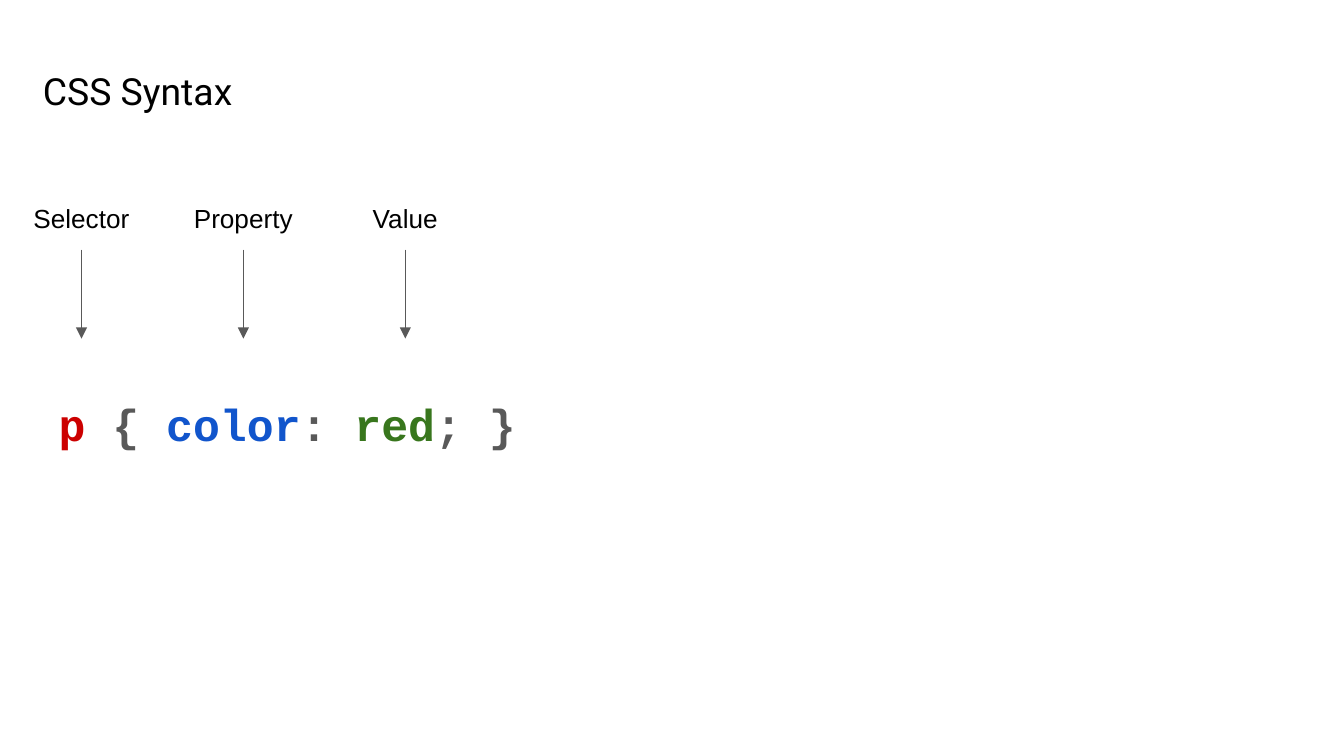
"""Build a slide that labels the parts of a CSS rule."""
from dataclasses import dataclass

from lxml import etree
from pptx import Presentation
from pptx.dml.color import RGBColor
from pptx.enum.shapes import MSO_CONNECTOR
from pptx.enum.text import MSO_ANCHOR, MSO_AUTO_SIZE, PP_ALIGN
from pptx.oxml.ns import qn
from pptx.util import Cm, Pt

STRAIGHT = MSO_CONNECTOR.STRAIGHT
TOP, MIDDLE = MSO_ANCHOR.TOP, MSO_ANCHOR.MIDDLE
LEFT, CENTER = PP_ALIGN.LEFT, PP_ALIGN.CENTER
GROW = MSO_AUTO_SIZE.SHAPE_TO_FIT_TEXT


@dataclass(frozen=True)
class Theme:
    black: str = "000000"
    gray: str = "595959"
    selector: str = "CC0000"
    property: str = "1155CC"
    value: str = "38761D"
    title_size: int = 20
    label_size: int = 14
    code_size: int = 24
    title_font: str = "Roboto"
    label_font: str = "Arial"
    code_font: str = "Courier New"


theme = Theme()


def add_text(shapes, left, top, width, height, spans, font, size, align=LEFT, anchor=TOP):
    box = shapes.add_textbox(Cm(left), Cm(top), Cm(width), Cm(height))
    frame = box.text_frame
    frame.word_wrap = True
    frame.vertical_anchor = anchor
    frame.margin_left = frame.margin_right = Cm(0.25)
    frame.margin_top = frame.margin_bottom = Cm(0.25)
    para = frame.paragraphs[0]
    para.alignment = align
    for text, color in spans:
        span = para.add_run()
        span.text = text
        span.font.name = font
        span.font.size = Pt(size)
        span.font.color.rgb = RGBColor.from_string(color)
    return box


def add_arrow(shapes, x, top, bottom):
    arrow = shapes.add_connector(STRAIGHT, Cm(x), Cm(top), Cm(x), Cm(bottom))
    arrow.line.color.rgb = RGBColor.from_string(theme.gray)
    arrow.line.width = Pt(0.75)
    etree.SubElement(arrow.line._get_or_add_ln(), qn("a:tailEnd"), type="triangle")
    etree.SubElement(arrow._element.spPr, qn("a:effectLst"))


deck = Presentation()
deck.slide_width, deck.slide_height = Cm(25.4), Cm(14.29)
page = deck.slides.add_slide(deck.slide_layouts[6])

code = [
    ("p", theme.selector),
    (" { ", theme.gray),
    ("color", theme.property),
    (": ", theme.gray),
    ("red", theme.value),
    ("; }", theme.gray),
]
code_box = add_text(page.shapes, 0.86, 5.97, 23.67, 3.94, code,
                    theme.code_font, theme.code_size, anchor=MIDDLE)
code_para = code_box.text_frame.paragraphs[0]
code_para.line_spacing = 1.15
code_para.space_after = Pt(16)
for span in code_para.runs:
    span.font.bold = True

label_width, label_top, label_height = 2.62, 3.58, 1.14
arrow_top, arrow_bottom = label_top + label_height, 6.4
first_center, pitch = 1.54, 3.06
for column, label in enumerate(("Selector", "Property", "Value")):
    center = first_center + column * pitch
    group = page.shapes.add_group_shape()
    add_arrow(group.shapes, center, arrow_top, arrow_bottom)
    add_text(group.shapes, center - label_width / 2, label_top, label_width, label_height,
             [(label, theme.black)], theme.label_font, theme.label_size, CENTER)

title_box = add_text(page.shapes, 0.56, 1.04, 15.27, 1.37, [("CSS Syntax", theme.black)],
                     theme.title_font, theme.title_size)
title_box.text_frame.auto_size = GROW

deck.save("out.pptx")
